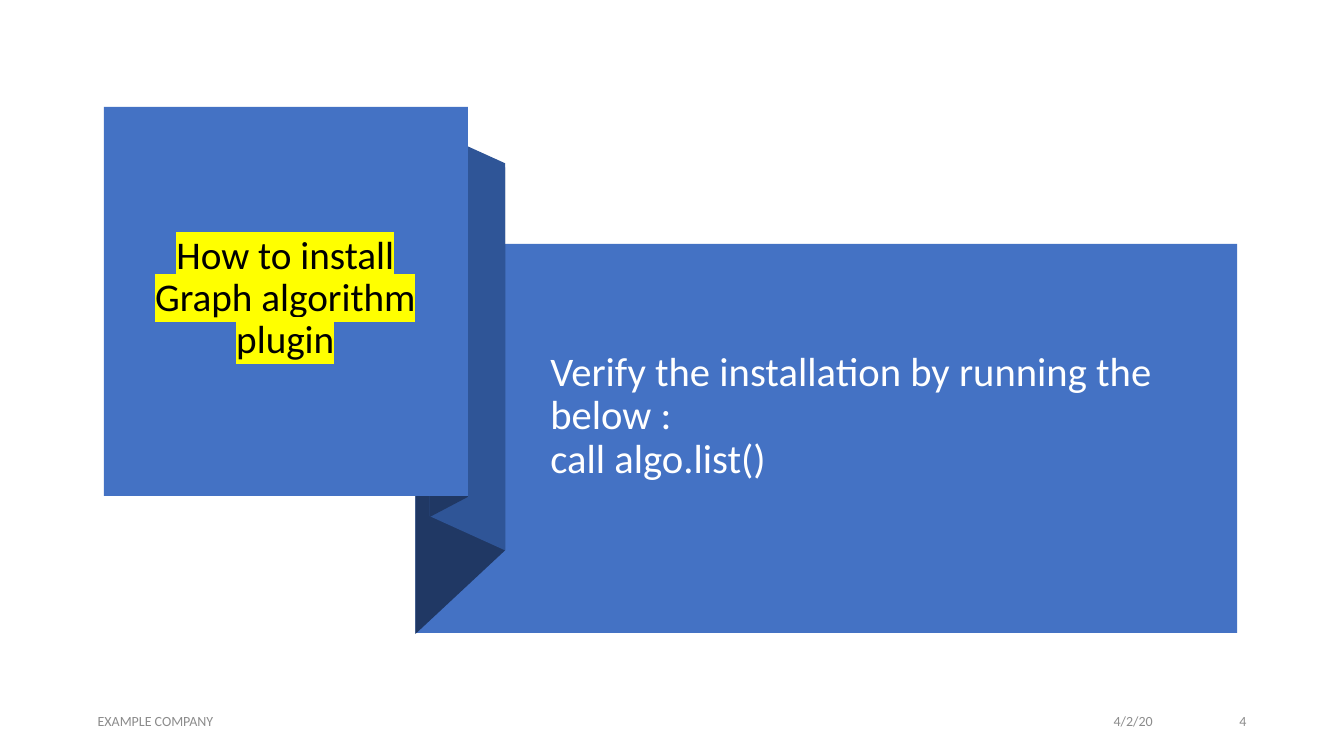
from dataclasses import dataclass

from lxml.etree import Element, SubElement
from pptx import Presentation
from pptx.dml.color import RGBColor
from pptx.enum.shapes import MSO_SHAPE
from pptx.enum.text import MSO_ANCHOR, PP_ALIGN
from pptx.oxml.ns import qn
from pptx.shapes.autoshape import Shape
from pptx.slide import Slide
from pptx.util import Emu, Pt

EMU_PER_PX = 9144
BLUE = "4472C4"
MID_BLUE = "2F5597"
NAVY = "203864"
GRAY = "8C8C8C"


@dataclass(frozen=True)
class Area:
    left: int
    top: int
    width: int
    height: int


@dataclass(frozen=True)
class Panel:
    area: Area
    fill: str


@dataclass(frozen=True)
class Fold:
    points: tuple[tuple[int, int], ...]
    fill: str


@dataclass(frozen=True)
class Footer:
    text: str
    area: Area
    align: PP_ALIGN


VERIFY_PANEL = Panel(Area(412, 242, 815, 386), BLUE)
TOPIC_PANEL = Panel(Area(103, 106, 361, 386), BLUE)
FOLDS = (
    Fold(((501, 546), (412, 629), (412, 248), (501, 166)), NAVY),
    Fold(((501, 546), (426, 512), (426, 128), (501, 162)), MID_BLUE),
    Fold(((464, 493), (426, 513), (426, 127), (464, 108)), NAVY),
)
FOOTERS = (
    Footer("EXAMPLE COMPANY", Area(87, 698, 739, 35), PP_ALIGN.LEFT),
    Footer("4/2/20", Area(844, 698, 309, 35), PP_ALIGN.RIGHT),
    Footer("4", Area(1171, 698, 75, 35), PP_ALIGN.RIGHT),
)


def px(length: int) -> Emu:
    return Emu(length * EMU_PER_PX)


def bounds(area: Area) -> tuple[Emu, Emu, Emu, Emu]:
    return px(area.left), px(area.top), px(area.width), px(area.height)


def color(value: str) -> RGBColor:
    return RGBColor.from_string(value)


def paint(shape: Shape, fill: str) -> None:
    shape.shadow.inherit = False
    shape.fill.solid()
    shape.fill.fore_color.rgb = color(fill)
    shape.line.fill.background()


def add_panel(page: Slide, panel: Panel) -> None:
    paint(page.shapes.add_shape(MSO_SHAPE.RECTANGLE, *bounds(panel.area)), panel.fill)


def add_fold(page: Slide, fold: Fold) -> None:
    first, *others = fold.points
    builder = page.shapes.build_freeform(*first, scale=EMU_PER_PX)
    builder.add_line_segments(others, close=True)
    paint(builder.convert_to_shape(), fold.fill)


def add_text(
    page: Slide,
    text: str,
    area: Area,
    *,
    size: int,
    ink: str,
    align: PP_ALIGN = PP_ALIGN.LEFT,
    line_spacing: float = 1.0,
    space_after: int = 0,
    bottom_inset: int = 5,
    highlight: str = "",
) -> None:
    box = page.shapes.add_textbox(*bounds(area))
    frame = box.text_frame
    frame.word_wrap = True
    frame.vertical_anchor = MSO_ANCHOR.MIDDLE
    frame.margin_bottom = px(bottom_inset)
    para = frame.paragraphs[0]
    para.text = text
    para.alignment = align
    para.line_spacing = line_spacing
    para.space_after = Pt(space_after)
    for span in para.runs:
        span.font.size = Pt(size)
        span.font.name = "Calibri"
        span.font.color.rgb = color(ink)
        if highlight:
            marker = Element(qn("a:highlight"))
            SubElement(marker, qn("a:srgbClr"), val=highlight)
            span._r.get_or_add_rPr().find(qn("a:solidFill")).addnext(marker)


def main() -> None:
    deck = Presentation()
    deck.slide_width, deck.slide_height = px(1333), px(750)
    page = deck.slides.add_slide(deck.slide_layouts[6])

    add_panel(page, VERIFY_PANEL)
    add_text(
        page,
        "Verify the installation by running the below :\vcall algo.list()",
        Area(536, 281, 643, 309),
        size=29,
        ink="FFFFFF",
        line_spacing=0.9,
        bottom_inset=49,
    )
    for fold in FOLDS:
        add_fold(page, fold)
    add_panel(page, TOPIC_PANEL)
    add_text(
        page,
        "How to install Graph algorithm plugin",
        Area(138, 141, 290, 311),
        size=28,
        ink="000000",
        align=PP_ALIGN.CENTER,
        line_spacing=0.9,
        highlight="FFFF00",
    )
    for footer in FOOTERS:
        add_text(
            page,
            footer.text,
            footer.area,
            size=10,
            ink=GRAY,
            align=footer.align,
            space_after=6,
        )
    deck.save("out.pptx")


if __name__ == "__main__":
    main()
